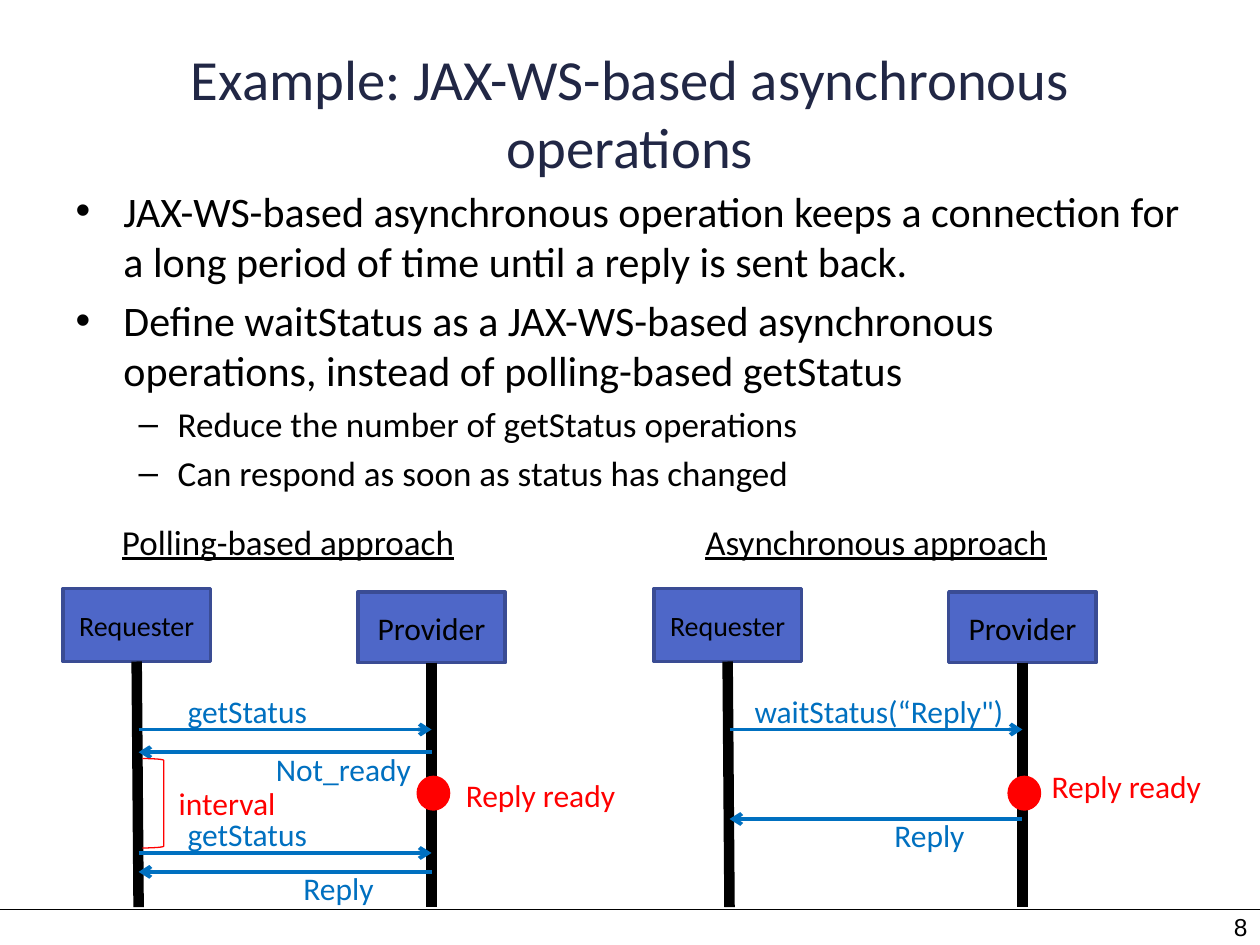
from dataclasses import dataclass
from typing import Any, NamedTuple

import pptx
import pptx.dml.color
import pptx.enum.shapes
import pptx.enum.text
import pptx.oxml
import pptx.oxml.ns
import pptx.util

RGB = pptx.dml.color.RGBColor.from_string
SHAPE = pptx.enum.shapes.MSO_SHAPE
ALIGN = pptx.enum.text.PP_ALIGN
ANCHOR = pptx.enum.text.MSO_ANCHOR
COLUMNS, ROWS = 100, 75  # the slide as a grid of tenth-inch cells
WIDTH, HEIGHT = pptx.util.Inches(10), pptx.util.Inches(7.5)
BOTTOM, BOTTOM_CENTRE = 72, 2


@dataclass(frozen=True)
class Theme:
    font: str = "Calibri"
    number_font: str = "Arial"
    title: str = "212745"
    ink: str = "000000"
    box: str = "4E67C8"
    box_edge: str = "3A4C94"
    message: str = "0070C0"
    event: str = "FF0000"
    title_size: float = 32.4
    body_size: float = 24
    heading_size: float = 20
    label_size: float = 18
    small_size: float = 16
    number_size: float = 14


THEME = Theme()


class Area(NamedTuple):
    column: float
    row: float
    columns: float
    rows: float

    def lengths(self) -> tuple[int, int, int, int]:
        return (across(self.column), down(self.row),
                across(self.columns), down(self.rows))


class Label(NamedTuple):
    text: str
    area: Area
    color: str = THEME.message
    align: Any = ALIGN.LEFT


class Message(NamedTuple):
    row: float
    is_reply: bool = False


@dataclass(frozen=True)
class Scenario:
    """One sequence diagram; its columns count from its own left edge."""
    left: float
    heading: Label
    messages: list[Message]
    labels: list[Label]
    interval: Area | None = None


SCENARIOS = [
    Scenario(
        5, Label("Polling-based approach", Area(3.7, 40.8, 29.7, 4.4)),
        [Message(57.9), Message(59.7, True), Message(67.7), Message(69.2, True)],
        [Label("getStatus", Area(8.9, 54.4, 11.6, 4)),
         Label("Not_ready", Area(15.9, 59, 12.9, 4)),
         Label("getStatus", Area(8.9, 64.2, 11.6, 4)),
         Label("Reply", Area(18.1, 68.5, 7.7, 4)),
         Label("Reply ready", Area(30.9, 61.1, 14, 4), THEME.event, ALIGN.CENTER),
         Label("interval", Area(8.2, 61.7, 9.8, 4), THEME.event)],
        Area(6.3, 60.2, 1.7, 7.1)),
    Scenario(
        51.9, Label("Asynchronous approach", Area(3.1, 40.8, 29.4, 4.4)),
        [Message(57.9), Message(65, True)],
        [Label("waitStatus(“Reply\")", Area(7, 54.4, 22, 4)),
         Label("Reply", Area(18.1, 64.3, 7.7, 4)),
         Label("Reply ready", Area(30.5, 60.4, 14, 4), THEME.event, ALIGN.CENTER)]),
]
BULLETS = [
    (0, "JAX-WS-based asynchronous operation keeps a connection for a long period "
        "of time until a reply is sent back."),
    (0, "Define waitStatus as a JAX-WS-based asynchronous operations, instead of "
        "polling-based getStatus"),
    (1, "Reduce the number of getStatus operations"),
    (1, "Can respond as soon as status has changed"),
]


def across(columns: float) -> int:
    return round(WIDTH * columns / COLUMNS)


def down(rows: float) -> int:
    return round(HEIGHT * rows / ROWS)


def shifted(area: Area, left: float) -> Area:
    return area._replace(column=area.column + left)


def write(para: Any, text: str, *, size: float, color: str = THEME.ink,
          font: str = THEME.font, align: Any = ALIGN.LEFT,
          underline: bool = False) -> None:
    para.alignment = align
    span = para.add_run()
    span.text = text
    span.font.name, span.font.size = font, pptx.util.Pt(size)
    span.font.color.rgb = RGB(color)
    if underline:
        span.font.underline = True


def add_label(page: Any, text: str, area: Area, **style: Any) -> None:
    box = page.shapes.add_textbox(*area.lengths())
    box.text_frame.word_wrap = False
    write(box.text_frame.paragraphs[0], text, **style)


def add_figure(page: Any, kind: Any, area: Area, fill: str | None, edge: str,
               weight: float = 2) -> Any:
    figure = page.shapes.add_shape(kind, *area.lengths())
    figure.shadow.inherit = False
    if fill:
        figure.fill.solid()
        figure.fill.fore_color.rgb = RGB(fill)
    else:
        figure.fill.background()
    figure.line.color.rgb = RGB(edge)
    figure.line.width = pptx.util.Pt(weight)
    return figure


def add_line(page: Any, start: tuple[float, float], end: tuple[float, float],
             color: str, weight: float, arrow: str = "") -> Any:
    """Draw a line; arrow may be headEnd (at start) or tailEnd (at end)."""
    line = page.shapes.add_connector(
        pptx.enum.shapes.MSO_CONNECTOR.STRAIGHT,
        across(start[0]), down(start[1]), across(end[0]), down(end[1]))
    line.line.color.rgb = RGB(color)
    line.line.width = pptx.util.Pt(weight)
    if arrow:
        tip = pptx.oxml.parse_xml(
            f'<a:{arrow} {pptx.oxml.ns.nsdecls("a")} type="arrow"/>')
        line.line._get_or_add_ln().append(tip)
    line._element.spPr.append(
        pptx.oxml.parse_xml(f'<a:effectLst {pptx.oxml.ns.nsdecls("a")}/>'))
    return line


def add_participant(page: Any, name: str, size: float, area: Area,
                    foot: float) -> None:
    """Draw a named box with its lifeline down to the column foot."""
    box = add_figure(page, SHAPE.RECTANGLE, area, THEME.box, THEME.box_edge)
    box.text_frame.vertical_anchor = ANCHOR.MIDDLE
    write(box.text_frame.paragraphs[0], name, size=size, align=ALIGN.CENTER)
    lifeline = add_line(page, (foot, area.row + area.rows), (foot, BOTTOM),
                        THEME.ink, 6)
    lifeline.begin_connect(box, BOTTOM_CENTRE)


def add_scenario(page: Any, scenario: Scenario) -> None:
    left = scenario.left
    requester, provider = left + 6, left + 29.25
    add_participant(page, "Requester", THEME.small_size,
                    Area(left, 46.7, 11.7, 5.8), requester)
    add_participant(page, "Provider", THEME.label_size,
                    Area(left + 23.4, 47, 11.7, 5.6), provider)
    for message in scenario.messages:
        add_line(page, (requester, message.row), (provider, message.row),
                 THEME.message, 2.25, "headEnd" if message.is_reply else "tailEnd")
    add_figure(page, SHAPE.OVAL, Area(left + 28.2, 61.7, 2.4, 2.5),
               THEME.event, THEME.event)
    if scenario.interval:
        add_figure(page, SHAPE.RIGHT_BRACKET, shifted(scenario.interval, left),
                   None, THEME.event, 0.75)
    for label in scenario.labels:
        add_label(page, label.text, shifted(label.area, left),
                  size=THEME.label_size, color=label.color, align=label.align)
    add_label(page, scenario.heading.text, shifted(scenario.heading.area, left),
              size=THEME.heading_size, underline=True)


def place(holder: Any, area: Area, anchor: Any) -> Any:
    holder.left, holder.top, holder.width, holder.height = area.lengths()
    frame = holder.text_frame
    frame.auto_size = pptx.enum.text.MSO_AUTO_SIZE.NONE
    frame.word_wrap, frame.vertical_anchor = True, anchor
    return frame


def add_bullets(frame: Any) -> None:
    looks = [("•", 0.38, -0.38, THEME.body_size), ("–", 0.81, -0.31, THEME.heading_size)]
    for index, (level, text) in enumerate(BULLETS):
        para = frame.add_paragraph() if index else frame.paragraphs[0]
        mark, margin, indent, size = looks[level]
        para.level = level
        para.space_before = pptx.util.Pt(0.2 * size if index else 0)
        properties = para._p.get_or_add_pPr()
        properties.set("marL", str(pptx.util.Inches(margin)))
        properties.set("indent", str(pptx.util.Inches(indent)))
        properties.append(pptx.oxml.parse_xml(
            f'<a:buChar {pptx.oxml.ns.nsdecls("a")} char="{mark}"/>'))
        write(para, text, size=size)


def main() -> None:
    deck = pptx.Presentation()
    deck.slide_width, deck.slide_height = WIDTH, HEIGHT
    page = deck.slides.add_slide(deck.slide_layouts[1])
    add_line(page, (0, 72.2), (COLUMNS, 72.2), THEME.ink, 0.75)
    title = place(page.shapes.title, Area(5, 4.6, 90, 8.5), ANCHOR.MIDDLE)
    write(title.paragraphs[0], "Example: JAX-WS-based asynchronous operations",
          size=THEME.title_size, color=THEME.title, align=ALIGN.CENTER)
    add_bullets(place(page.placeholders[1], Area(5, 14.2, 90, 26.7), ANCHOR.TOP))
    add_label(page, "8", Area(76.7, 71.9, 23.3, 5.5), size=THEME.number_size,
              font=THEME.number_font, align=ALIGN.RIGHT)
    for scenario in SCENARIOS:
        add_scenario(page, scenario)
    deck.save("out.pptx")


if __name__ == "__main__":
    main()
